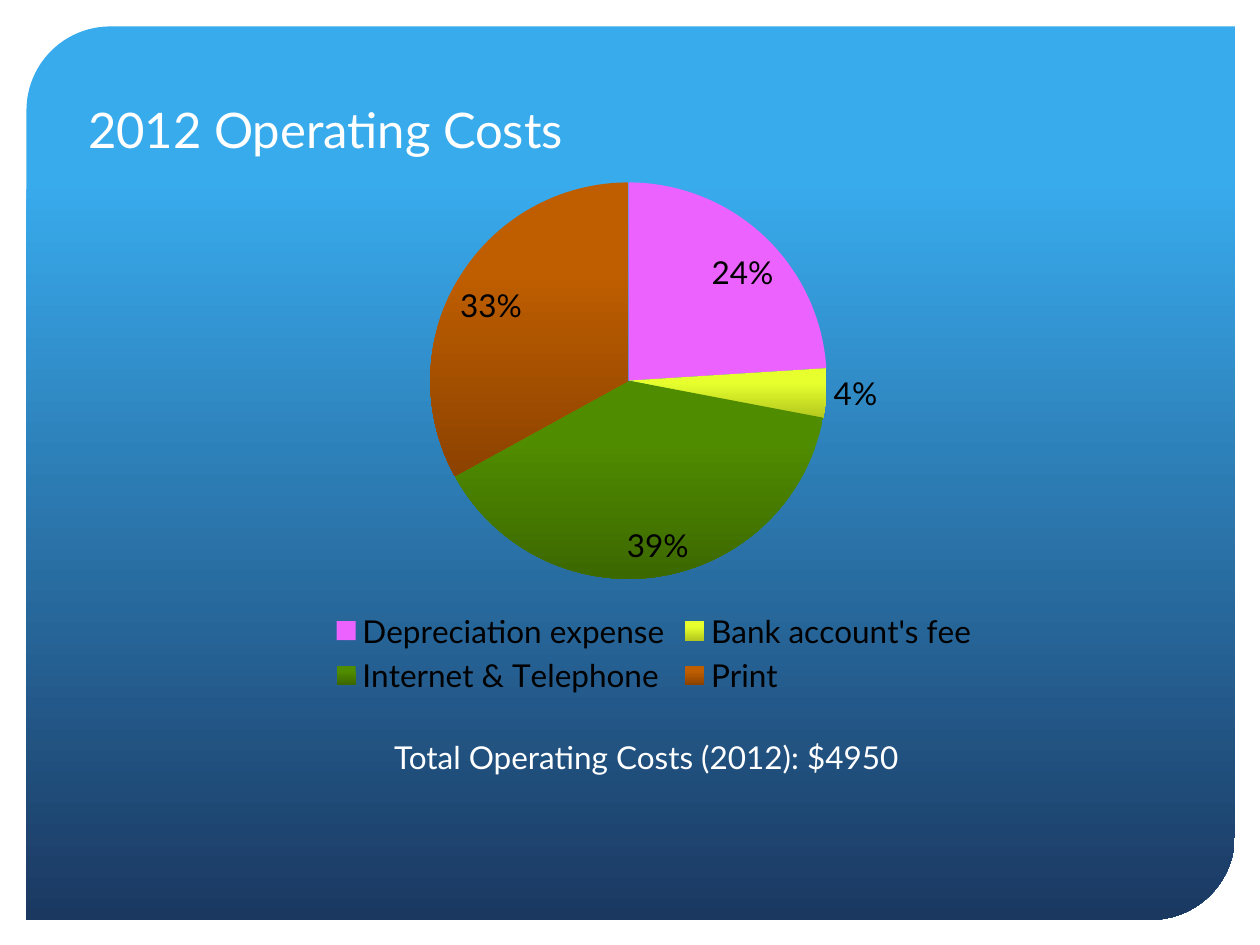
import dataclasses

import pptx
import pptx.chart.data
import pptx.dml.color
import pptx.enum.chart
import pptx.enum.shapes
import pptx.enum.text
import pptx.util

Inches = pptx.util.Inches
Pt = pptx.util.Pt
FONT = "Lato"
WHITE = "FFFFFF"


@dataclasses.dataclass
class Cost:
    name: str
    share: int
    top: str
    base: str


COSTS = [
    Cost("Depreciation expense", 24, "EB62FF", "EB62FF"),
    Cost("Bank account's fee", 4, "E6FF2D", "B4C81E"),
    Cost("Internet & Telephone", 39, "508C00", "3C6800"),
    Cost("Print", 33, "BF5E00", "8C4200"),
]


def color(code: str) -> pptx.dml.color.RGBColor:
    return pptx.dml.color.RGBColor.from_string(code)


def style(font, size: int, code: str) -> None:
    font.name = FONT
    font.size = Pt(size)
    font.color.rgb = color(code)


def fade(fill, top: str, base: str, start: float) -> None:
    """Fill from top to base, plain above the start position."""
    fill.gradient()
    fill.gradient_angle = 270
    for stop, code, place in zip(fill.gradient_stops, (top, base), (start, 1)):
        stop.color.rgb = color(code)
        stop.position = place


def write(shape, text: str, size: int, wrap: bool) -> None:
    frame = shape.text_frame
    frame.word_wrap = wrap
    frame.auto_size = pptx.enum.text.MSO_AUTO_SIZE.SHAPE_TO_FIT_TEXT
    frame.vertical_anchor = pptx.enum.text.MSO_ANCHOR.TOP
    para = frame.paragraphs[0]
    para.alignment = pptx.enum.text.PP_ALIGN.LEFT
    run = para.add_run()
    run.text = text
    style(run.font, size, WHITE)


def add_panel(slide) -> None:
    panel = slide.shapes.add_shape(
        pptx.enum.shapes.MSO_SHAPE.ROUND_2_DIAG_RECTANGLE,
        Inches(0.21), Inches(0.21), Inches(9.59), Inches(7.09))
    panel.adjustments[0] = 0.094
    panel.adjustments[1] = 0
    panel.shadow.inherit = False
    panel.line.fill.background()
    fade(panel.fill, "38ABED", "1B3861", 0.17)
    # The title placeholder comes first, so send the panel behind it.
    slide.shapes.title._element.addprevious(panel._element)


def add_pie(slide, costs: list[Cost]) -> None:
    data = pptx.chart.data.CategoryChartData()
    data.categories = [cost.name for cost in costs]
    data.add_series("Series 1", [cost.share for cost in costs])
    chart = slide.shapes.add_chart(
        pptx.enum.chart.XL_CHART_TYPE.PIE,
        Inches(1.72), Inches(1.31), Inches(6.94), Inches(4.25), data).chart
    style(chart.font, 18, "000000")
    chart.has_title = False
    chart.has_legend = True
    chart.legend.position = pptx.enum.chart.XL_LEGEND_POSITION.BOTTOM
    chart.legend.include_in_layout = False

    plot = chart.plots[0]
    plot.vary_by_categories = True
    plot.has_data_labels = True
    labels = plot.data_labels
    labels.show_percentage = True
    labels.show_value = False
    labels.number_format = "0%"
    labels.number_format_is_linked = False
    labels.position = pptx.enum.chart.XL_LABEL_POSITION.BEST_FIT
    for index, cost in enumerate(costs):
        form = plot.series[0].points[index].format
        form.line.fill.background()
        if cost.top == cost.base:
            form.fill.solid()
            form.fill.fore_color.rgb = color(cost.top)
        else:
            fade(form.fill, cost.top, cost.base, 0.3)


def main() -> None:
    deck = pptx.Presentation()
    deck.slide_width = Inches(10)
    deck.slide_height = Inches(7.5)
    slide = deck.slides.add_slide(deck.slide_layouts[5])
    add_panel(slide)
    add_pie(slide, COSTS)

    title = slide.shapes.title
    title.left, title.top = Inches(0.6), Inches(0.74)
    title.width, title.height = Inches(4.85), Inches(0.57)
    write(title, "2012 Operating Costs", 28, True)

    total = slide.shapes.add_textbox(
        Inches(3.03), Inches(5.81), Inches(4.24), Inches(0.4))
    write(total, "Total Operating Costs (2012): $4950", 18, False)
    deck.save("out.pptx")


if __name__ == "__main__":
    main()
